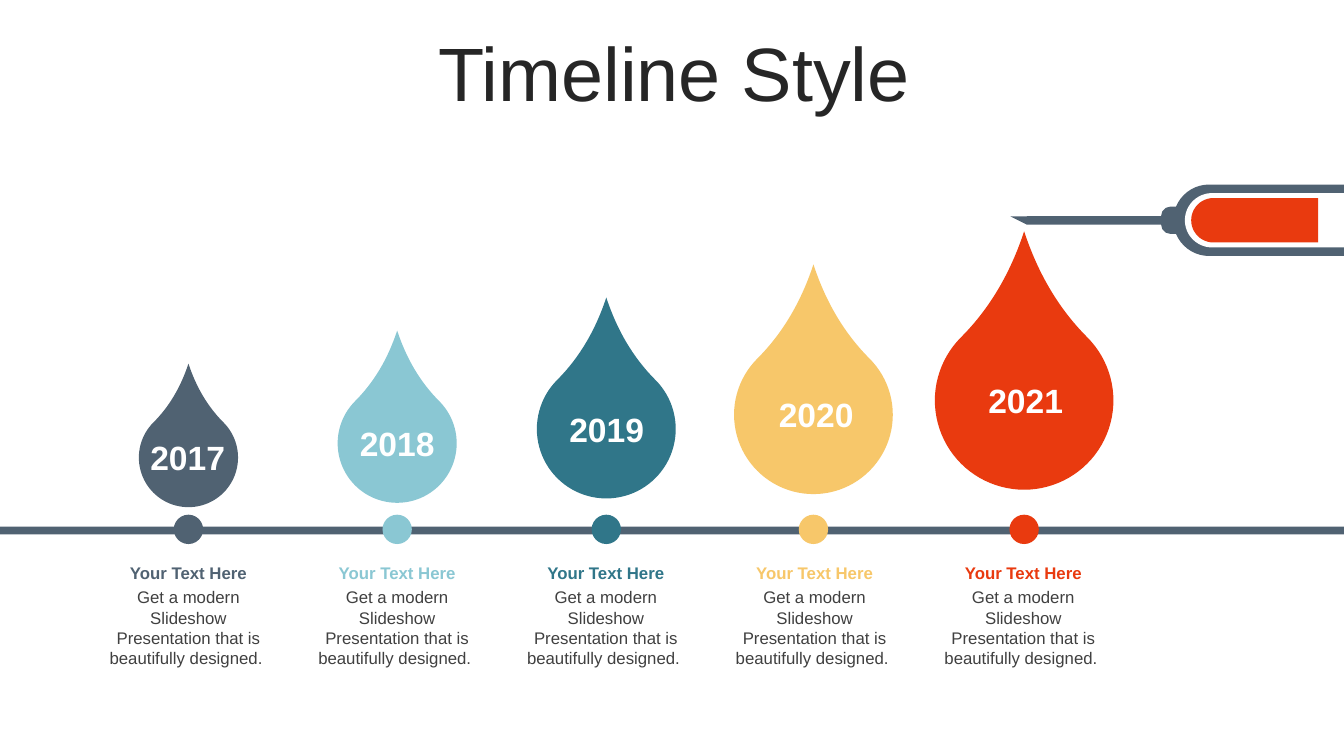
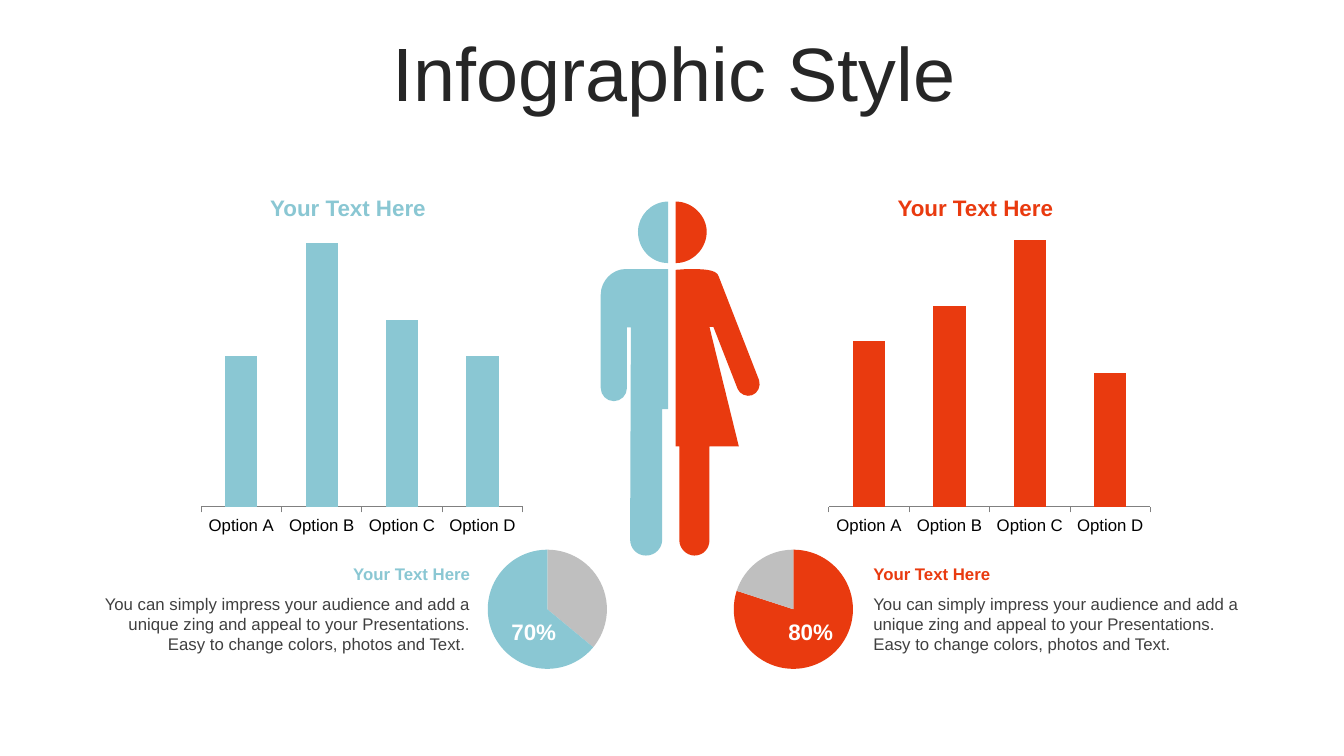
"""Build a two-slide deck: a droplet timeline and a two-sided infographic."""
from dataclasses import dataclass

from lxml import etree
from pptx import Presentation
from pptx.chart.data import CategoryChartData
from pptx.dml.color import RGBColor
from pptx.enum.chart import XL_CHART_TYPE as Chart, XL_TICK_MARK as Tick
from pptx.enum.shapes import MSO_SHAPE as Shape
from pptx.enum.text import MSO_ANCHOR as Anchor, MSO_AUTO_SIZE as AutoSize, PP_ALIGN as Align
from pptx.oxml.ns import qn
from pptx.util import Cm, Pt


@dataclass(frozen=True)
class Theme:
    font: str = "Arial"
    slate: str = "506272"
    sky: str = "8AC7D3"
    teal: str = "307689"
    amber: str = "F7C76A"
    red: str = "E93A0F"
    grey: str = "BFBFBF"
    axis: str = "808080"
    white: str = "FFFFFF"
    black: str = "000000"
    title: str = "262626"
    body: str = "404040"
    title_size: int = 54
    year_size: int = 24
    chart_size: int = 18
    heading_size: int = 16
    body_size: int = 12


THEME = Theme()
PAGE_WIDTH, PAGE_HEIGHT = 33.87, 19.05

TIMELINE_TITLE = "Timeline Style"
MILESTONES = [
    ("2017", THEME.slate, 4.75),
    ("2018", THEME.sky, 10.01),
    ("2019", THEME.teal, 15.28),
    ("2020", THEME.amber, 20.5),
    ("2021", THEME.red, 25.81),
]
MILESTONE_HEADING = "Your Text Here"
MILESTONE_TEXT = "Get a modern Slideshow Presentation that is beautifully designed. "
FIRST_LABEL, LABEL_STEP = 4.75, 5.26
FIRST_YEAR, YEAR_STEP = 4.73, 5.28
DROP_SIZE, DROP_GROWTH = 2.5, 0.5
DROP_MIDDLE, DROP_RISE = 11.53, 0.36
DOT_MIDDLE, LINE_MIDDLE = 13.34, 13.37

SYRINGE_MIDDLE = 5.55
SYRINGE_PARTS = [
    (29.57, 4.3, 1.8, THEME.slate),
    (29.86, 4.01, 1.37, THEME.white),
    (29.26, 0.48, 0.69, THEME.slate),
    (30.02, 3.2, 1.12, THEME.red),
]

INFOGRAPHIC_TITLE = "Infographic Style"
OPTIONS = ["Option A", "Option B", "Option C", "Option D"]
SIDE_HEADING = "Your Text Here"
SIDE_TEXT = ("You can simply impress your audience and add a unique zing and appeal "
             "to your Presentations. Easy to change colors, photos and Text. ")
MAN = [
    [(15.77, 6.78), (16.84, 6.78), (16.84, 10.31), (16.69, 10.31), (16.69, 13.59),
     (16.69, 13.82, 16.51, 14, 16.28, 14), (16.05, 14, 15.88, 13.82, 15.88, 13.59),
     (15.9, 8.25), (15.8, 8.25), (15.8, 9.78),
     (15.8, 9.96, 15.65, 10.11, 15.47, 10.11), (15.29, 10.11, 15.14, 9.96, 15.14, 9.78),
     (15.14, 7.42), (15.14, 7.09, 15.42, 6.78, 15.77, 6.78)],
    [(16.84, 5.08), (16.84, 6.63),
     (16.41, 6.63, 16.08, 6.27, 16.08, 5.84), (16.08, 5.44, 16.41, 5.08, 16.84, 5.08)],
]
WOMAN = [
    [(17.32, 6.78), (17.68, 6.78, 18.06, 6.78, 18.11, 6.96), (19.13, 9.58),
     (19.18, 9.73, 19.1, 9.91, 18.95, 9.96), (18.82, 10.01, 18.64, 9.93, 18.59, 9.8),
     (17.98, 8.24), (17.88, 8.24), (18.62, 11.25), (17.88, 11.25), (17.88, 13.61),
     (17.88, 13.82, 17.73, 14, 17.5, 14), (17.3, 14, 17.12, 13.82, 17.12, 13.61),
     (17.12, 11.25), (17.03, 11.25), (17.03, 6.8)],
    [(17.03, 5.08), (17.45, 5.08, 17.81, 5.44, 17.81, 5.84),
     (17.81, 6.27, 17.45, 6.63, 17.03, 6.63)],
]
SIDES = [
    {"color": THEME.sky, "figure": MAN, "values": [57, 100, 71, 57], "top_value": 114,
     "columns_left": 4.18, "heading_left": 6.19, "pie_left": 11.94,
     "slices": [(36, THEME.grey), (64, THEME.sky)], "share": "70%", "share_left": 12.45,
     "text_left": 2.1, "align": Align.RIGHT},
    {"color": THEME.red, "figure": WOMAN, "values": [62, 75, 100, 50], "top_value": 112.5,
     "columns_left": 20, "heading_left": 22, "pie_left": 18.14,
     "slices": [(80, THEME.red), (20, THEME.grey)], "share": "80%", "share_left": 19.43,
     "text_left": 21.76, "align": Align.LEFT},
]


def paint(target, color):
    target.fill.solid()
    target.fill.fore_color.rgb = RGBColor.from_string(color)


def style_font(font, size, color, bold=False):
    font.name, font.size, font.bold = THEME.font, Pt(size), bold
    font.color.rgb = RGBColor.from_string(color)


def finish_shape(shape, color):
    paint(shape, color)
    shape.line.fill.background()
    shape.shadow.inherit = False
    return shape


def add_block(page, kind, left, top, width, height, color):
    shape = page.shapes.add_shape(kind, Cm(left), Cm(top), Cm(width), Cm(height))
    return finish_shape(shape, color)


def add_centred(page, kind, centre, middle, width, height, color):
    return add_block(page, kind, centre - width / 2, middle - height / 2, width, height, color)


def add_text(page, text, left, top, width, height, size, color,
             bold=False, align=Align.CENTER, anchor=Anchor.TOP):
    box = page.shapes.add_textbox(Cm(left), Cm(top), Cm(width), Cm(height))
    frame = box.text_frame
    frame.word_wrap, frame.vertical_anchor = True, anchor
    para = frame.paragraphs[0]
    para.text, para.alignment = text, align
    style_font(para.font, size, color, bold)


def step_points(step):
    return [(Cm(x), Cm(y)) for x, y in zip(step[::2], step[1::2])]


def add_outline(page, contours, color):
    builder = page.shapes.build_freeform(*step_points(contours[0][0])[0])
    for index, (start, *steps) in enumerate(contours):
        if index:
            builder.move_to(*step_points(start)[0])
        points = [point for step in steps for point in step_points(step)]
        builder.add_line_segments(points, close=True)
    shape = finish_shape(builder.convert_to_shape(), color)
    lines = iter(list(shape.element.iter(qn("a:lnTo"))))
    for step in (step for contour in contours for step in contour[1:]):
        line = next(lines)
        if len(step) == 6:
            curve = etree.Element(qn("a:cubicBezTo"))
            line.addprevious(curve)
            for part in (line, next(lines), next(lines)):
                curve.append(part[0])
                part.getparent().remove(part)


def add_chart(page, kind, categories, values, place, plot_place):
    data = CategoryChartData()
    data.categories = categories
    data.add_series("Series 1", values)
    chart = page.shapes.add_chart(kind, *map(Cm, place), data).chart
    chart.has_legend = chart.has_title = False
    style_font(chart.font, THEME.chart_size, THEME.black)
    area = next(chart.element.iter(qn("c:plotArea")))
    for old in area.findall(qn("c:layout")):
        area.remove(old)
    layout = etree.Element(qn("c:layout"))
    manual = etree.SubElement(layout, qn("c:manualLayout"))
    names = ("layoutTarget", "xMode", "yMode", "x", "y", "w", "h")
    for name, value in zip(names, ("inner", "edge", "edge", *plot_place)):
        etree.SubElement(manual, qn(f"c:{name}")).set("val", str(value))
    area.insert(0, layout)
    return chart


def add_columns(page, side):
    chart = add_chart(page, Chart.COLUMN_STACKED, OPTIONS, side["values"],
                      (side["columns_left"], 4.91, 9.17, 8.56), (0.097, 0.034, 0.884, 0.886))
    plot = chart.plots[0]
    plot.gap_width, plot.overlap, plot.vary_by_categories = 150, 100, False
    paint(plot.series[0].format, side["color"])
    scale, axis = chart.value_axis, chart.category_axis
    scale.minimum_scale, scale.maximum_scale = 0, side["top_value"]
    scale.has_major_gridlines = scale.visible = False
    axis.major_tick_mark = Tick.OUTSIDE
    axis.format.line.color.rgb = RGBColor.from_string(THEME.axis)
    style_font(axis.tick_labels.font, THEME.body_size, THEME.black)


def add_pie(page, side):
    values, colors = zip(*side["slices"])
    chart = add_chart(page, Chart.PIE, ["1", "2"], values,
                      (side["pie_left"], 13.5, 3.71, 3.71), (0.095, 0.095, 0.81, 0.81))
    plot = chart.plots[0]
    plot.vary_by_categories = True
    for index, color in enumerate(colors):
        paint(plot.series[0].points[index].format, color)


def add_page(deck, text):
    page = deck.slides.add_slide(deck.slide_layouts[5])
    title = page.shapes.title
    title.left, title.top, title.width, title.height = map(Cm, (0.91, 0.94, 32.16, 2.01))
    frame = title.text_frame
    frame.text, frame.vertical_anchor = text, Anchor.MIDDLE
    frame.word_wrap, frame.auto_size = True, AutoSize.NONE
    para = frame.paragraphs[0]
    para.alignment, para.line_spacing = Align.CENTER, 0.9
    style_font(para.font, THEME.title_size, THEME.title)
    return page


def add_syringe(page):
    for left, length, thickness, color in SYRINGE_PARTS:
        part = add_centred(page, Shape.ROUND_2_SAME_RECTANGLE, left + length / 2,
                           SYRINGE_MIDDLE, thickness, length, color)
        part.rotation = 270
        part.adjustments[0], part.adjustments[1] = 0.5, 0
    add_block(page, Shape.RECTANGLE, 25.88, 5.45, 3.38, 0.21, THEME.slate)
    tip = add_block(page, Shape.RIGHT_TRIANGLE, 25.46, 5.45, 0.42, 0.21, THEME.slate)
    tip.rotation = 180


def add_milestone(page, index, year, color, centre):
    size = DROP_SIZE + index * DROP_GROWTH
    middle = DROP_MIDDLE - index * DROP_RISE
    drop = add_centred(page, Shape.TEAR, centre, middle, size, size, color)
    drop.rotation, drop.adjustments[0] = 315, 1.339
    add_centred(page, Shape.OVAL, centre, DOT_MIDDLE, 0.74, 0.74, color)
    add_text(page, year, FIRST_YEAR + index * YEAR_STEP - 1.28, middle - 0.64, 2.56, 1.28,
             THEME.year_size, THEME.white, bold=True)
    left, width = FIRST_LABEL + index * LABEL_STEP - 2.36, 4.72
    add_text(page, MILESTONE_HEADING, left, 14.05, width, 0.76,
             THEME.body_size, color, bold=True)
    add_text(page, MILESTONE_TEXT, left, 14.67, width, 2.31, THEME.body_size, THEME.body)


def build_timeline(deck):
    page = add_page(deck, TIMELINE_TITLE)
    add_syringe(page)
    add_block(page, Shape.RECTANGLE, 0, LINE_MIDDLE - 0.1, PAGE_WIDTH, 0.2, THEME.slate)
    for index, milestone in enumerate(MILESTONES):
        add_milestone(page, index, *milestone)


def build_infographic(deck):
    page = add_page(deck, INFOGRAPHIC_TITLE)
    for side in SIDES:
        color, left, align = side["color"], side["text_left"], side["align"]
        add_columns(page, side)
        add_outline(page, side["figure"], color)
        add_pie(page, side)
        add_text(page, SIDE_HEADING, side["heading_left"], 4.78, 5.16, 0.94,
                 THEME.heading_size, color, bold=True)
        add_text(page, side["share"], side["share_left"], 15.44, 2, 0.94,
                 THEME.heading_size, THEME.white, bold=True, anchor=Anchor.MIDDLE)
        add_text(page, SIDE_HEADING, left, 14.07, 10, 0.76,
                 THEME.body_size, color, bold=True, align=align)
        add_text(page, SIDE_TEXT, left, 14.83, 10, 1.8,
                 THEME.body_size, THEME.body, align=align)


def main():
    deck = Presentation()
    deck.slide_width, deck.slide_height = Cm(PAGE_WIDTH), Cm(PAGE_HEIGHT)
    build_timeline(deck)
    build_infographic(deck)
    deck.save("out.pptx")


if __name__ == "__main__":
    main()
